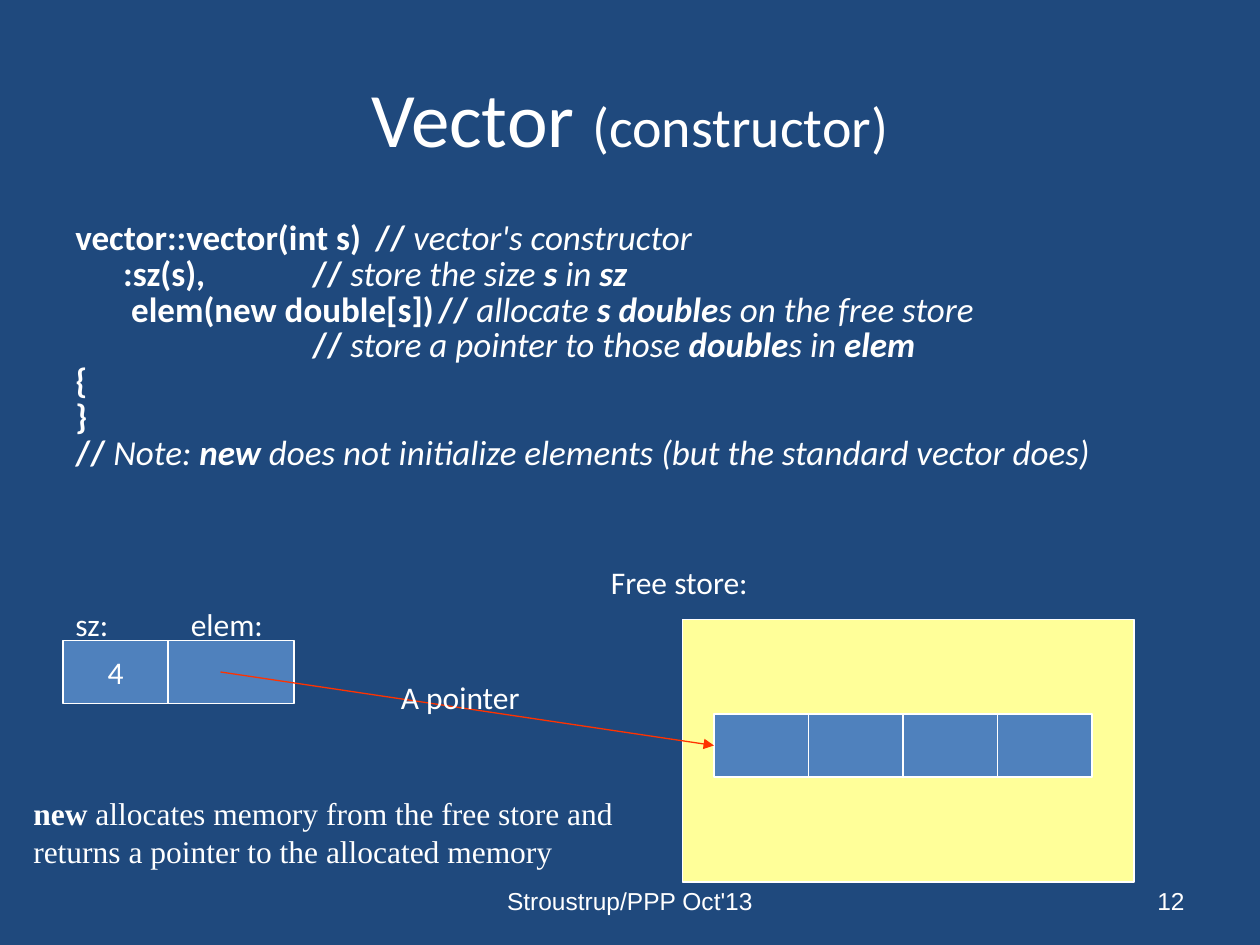
from dataclasses import dataclass
from typing import NamedTuple

from lxml import etree
from pptx import Presentation
from pptx.dml.color import RGBColor
from pptx.enum.shapes import MSO_CONNECTOR, MSO_SHAPE
from pptx.enum.text import MSO_ANCHOR, PP_ALIGN
from pptx.oxml.ns import qn
from pptx.util import Inches, Pt

LEFT, CENTER, RIGHT = PP_ALIGN.LEFT, PP_ALIGN.CENTER, PP_ALIGN.RIGHT
TOP, MIDDLE = MSO_ANCHOR.TOP, MSO_ANCHOR.MIDDLE
RECTANGLE = MSO_SHAPE.RECTANGLE
STRAIGHT = MSO_CONNECTOR.STRAIGHT
LEFT_SIDE = 1

# The slide is a grid of 120 columns by 90 rows
WIDTH, HEIGHT = Inches(10), Inches(7.5)
COLUMN, ROW = WIDTH / 120, HEIGHT / 90


@dataclass(frozen=True)
class Theme:
    background: RGBColor = RGBColor(0x1F, 0x49, 0x7D)
    text: RGBColor = RGBColor(0xFF, 0xFF, 0xFF)
    cell: RGBColor = RGBColor(0x4F, 0x81, 0xBD)
    store: RGBColor = RGBColor(0xFF, 0xFF, 0x99)
    pointer: RGBColor = RGBColor(0xFF, 0x33, 0x00)
    main_font: str = "Calibri"
    footer_font: str = "Arial"
    remark_font: str = "Times New Roman"
    title_size: float = 44
    subtitle_size: float = 32
    code_size: float = 20
    label_size: float = 18
    footer_size: float = 14
    line_width: float = 0.75


THEME = Theme()


class Box(NamedTuple):
    column: float
    row: float
    columns: float
    rows: float

    def emu(self) -> tuple:
        return (round(self.column * COLUMN), round(self.row * ROW),
                round(self.columns * COLUMN), round(self.rows * ROW))


class Span(NamedTuple):
    text: str
    bold: bool = False
    italic: bool = False
    size: float | None = None


@dataclass(frozen=True)
class TextBlock:
    box: Box
    lines: list
    size: float = THEME.label_size
    font: str = THEME.main_font
    align: PP_ALIGN = LEFT
    anchor: MSO_ANCHOR = TOP


def code(text: str) -> Span:
    return Span(text, bold=True)


def comment(text: str) -> Span:
    return Span(text, italic=True)


def name(text: str) -> Span:
    return Span(text, bold=True, italic=True)


def add_spans(paragraph, spans: list, size: float, font: str) -> None:
    for span in spans:
        run = paragraph.add_run()
        run.text = span.text
        values = {"name": font, "size": Pt(span.size or size),
                  "bold": span.bold, "italic": span.italic}
        for attribute, value in values.items():
            setattr(run.font, attribute, value)
        run.font.color.rgb = THEME.text


def add_text(slide, block: TextBlock):
    frame = slide.shapes.add_textbox(*block.box.emu()).text_frame
    frame.word_wrap = True
    frame.vertical_anchor = block.anchor
    for index, spans in enumerate(block.lines):
        paragraph = frame.add_paragraph() if index else frame.paragraphs[0]
        paragraph.alignment = block.align
        add_spans(paragraph, spans, block.size, block.font)
    return frame


def add_rectangle(slide, box: Box, color: RGBColor):
    shape = slide.shapes.add_shape(RECTANGLE, *box.emu())
    shape.shadow.inherit = False
    shape.fill.solid()
    shape.fill.fore_color.rgb = color
    shape.line.color.rgb = THEME.text
    shape.line.width = Pt(THEME.line_width)
    return shape


def add_pointer(slide, column: float, row: float, target) -> None:
    start = round(column * COLUMN), round(row * ROW)
    connector = slide.shapes.add_connector(STRAIGHT, *start, *start)
    connector.end_connect(target, LEFT_SIDE)
    connector.line.color.rgb = THEME.pointer
    connector.line.width = Pt(THEME.line_width)
    line = connector.line._get_or_add_ln()
    etree.SubElement(line, qn("a:tailEnd"), type="triangle")
    etree.SubElement(connector._element.spPr, qn("a:effectLst"))


TITLE = TextBlock(
    Box(6, 3.6, 108, 15),
    [[Span("Vector "), Span("(constructor)", size=THEME.subtitle_size)]],
    size=THEME.title_size, align=CENTER, anchor=MIDDLE)

CONSTRUCTOR = TextBlock(Box(6, 21, 108, 28), [
    [code("vector::vector(int s)\t// "), comment("vector's constructor")],
    [code("\t:sz(s),\t\t// "), comment("store the size"), name(" s "),
     comment("in "), name("sz")],
    [code("\t elem(new double[s])\t// "), comment("allocate"),
     name(" s double"), comment("s on the free store")],
    [code("\t\t\t\t// "), comment("store a pointer to those"),
     name(" double"), comment("s in "), name("elem")],
    [code("{")],
    [code("}")],
    [code("// "), comment("Note:"), name(" new "),
     comment("does not initialize elements (but the standard vector does)")],
], size=THEME.code_size)

LABELS = [
    TextBlock(Box(57, 53, 18, 4.8), [[Span("Free store:")]]),
    TextBlock(Box(37, 64, 18, 4.8), [[Span("A pointer")]]),
    TextBlock(Box(6, 57, 10, 4.8), [[Span("sz:")]]),
    TextBlock(Box(17, 57, 13, 4.8), [[Span("elem:")]]),
    TextBlock(Box(2, 75, 59, 8.5),
              [[Span("new", bold=True),
                Span(" allocates memory from the free store and returns "
                     "a pointer to the allocated memory")]],
              font=THEME.remark_font),
]

FOOTERS = [
    TextBlock(Box(41, 83.4, 38, 4.8), [[Span("Stroustrup/PPP Oct'13")]],
              THEME.footer_size, THEME.footer_font, CENTER, MIDDLE),
    TextBlock(Box(86, 83.4, 28, 4.8), [[Span("12")]],
              THEME.footer_size, THEME.footer_font, RIGHT, MIDDLE),
]


def main() -> None:
    presentation = Presentation()
    presentation.slide_width, presentation.slide_height = WIDTH, HEIGHT
    slide = presentation.slides.add_slide(presentation.slide_layouts[6])
    slide.background.fill.solid()
    slide.background.fill.fore_color.rgb = THEME.background

    # Title and code with a hanging indent
    add_text(slide, TITLE)
    for paragraph in add_text(slide, CONSTRUCTOR).paragraphs:
        paragraph.line_spacing = 0.7
        paragraph.space_before = Pt(3.7)
        properties = paragraph._p.get_or_add_pPr()
        properties.set("marL", str(Inches(0.38)))
        properties.set("indent", str(Inches(-0.38)))

    # Vector object: size and element pointer
    size_cell = add_rectangle(slide, Box(6, 61, 10, 6), THEME.cell)
    frame = size_cell.text_frame
    frame.word_wrap = False
    frame.vertical_anchor = MIDDLE
    frame.paragraphs[0].alignment = CENTER
    add_spans(frame.paragraphs[0], [Span("4")],
              THEME.label_size, THEME.main_font)
    add_rectangle(slide, Box(16, 61, 12, 6), THEME.cell)

    # Free store with four elements
    add_rectangle(slide, Box(65, 59, 43, 25), THEME.store)
    elements = [add_rectangle(slide, Box(68 + 9 * index, 68, 9, 6), THEME.cell)
                for index in range(4)]
    add_pointer(slide, 21, 64, elements[0])

    # Labels and footer
    for block in LABELS + FOOTERS:
        add_text(slide, block)

    presentation.save("out.pptx")


if __name__ == "__main__":
    main()
